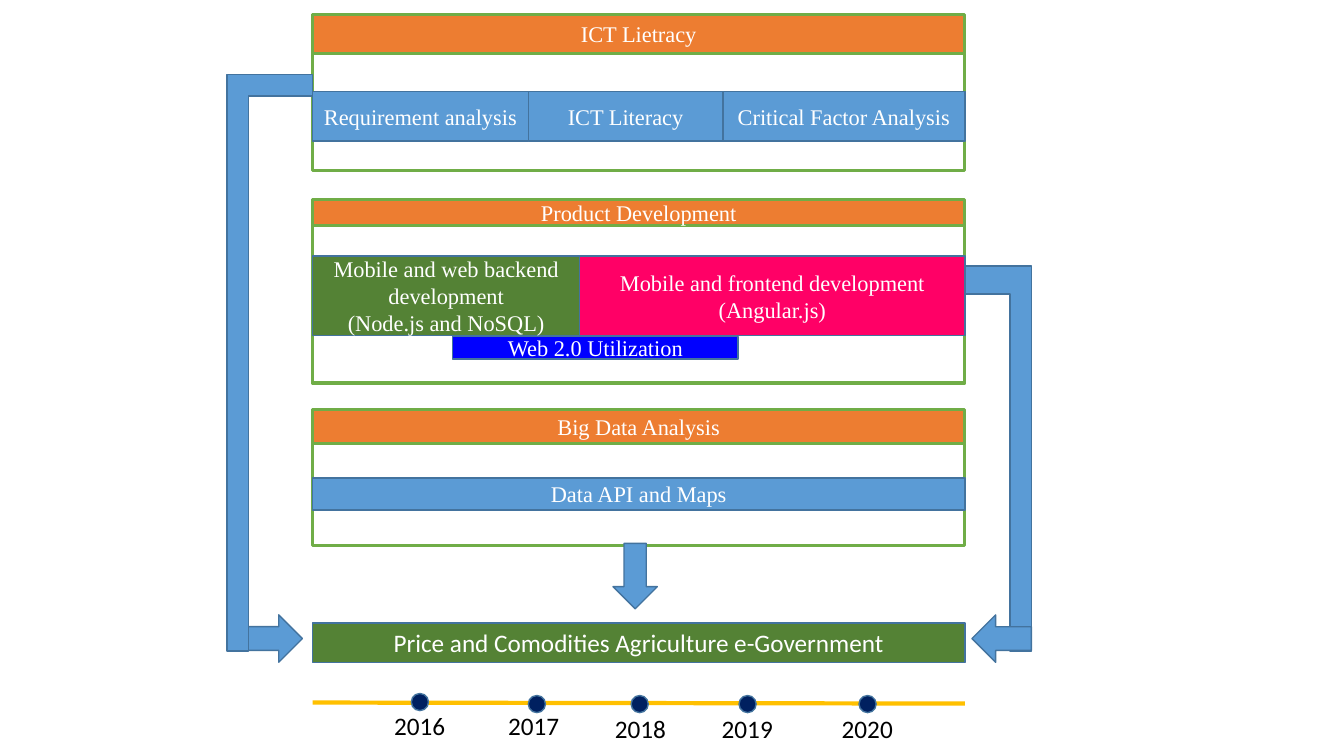
"""Build the ICT roadmap slide: three work packages feeding e-Government."""
from dataclasses import dataclass

from lxml import etree
from pptx import Presentation
from pptx.dml.color import RGBColor
from pptx.enum.shapes import MSO_CONNECTOR, MSO_SHAPE
from pptx.enum.text import MSO_ANCHOR, MSO_AUTO_SIZE, PP_ALIGN
from pptx.oxml.ns import qn
from pptx.util import Inches, Pt

RECT, OVAL, CORNER = MSO_SHAPE.RECTANGLE, MSO_SHAPE.OVAL, MSO_SHAPE.CORNER
DOWN, RIGHT = MSO_SHAPE.DOWN_ARROW, MSO_SHAPE.RIGHT_ARROW
STRAIGHT = MSO_CONNECTOR.STRAIGHT
MIDDLE, CENTER, LEFT = MSO_ANCHOR.MIDDLE, PP_ALIGN.CENTER, PP_ALIGN.LEFT
FIT_SHAPE = MSO_AUTO_SIZE.SHAPE_TO_FIT_TEXT


@dataclass(frozen=True)
class Theme:
    """Colours, fonts and sizes of the slide."""
    white: str = "FFFFFF"
    black: str = "000000"
    orange: str = "ED7D31"
    frame: str = "70AD47"
    blue: str = "5B9BD5"
    edge: str = "43739E"
    green: str = "548235"
    pink: str = "FF0066"
    vivid: str = "0000FF"
    gold: str = "FFC000"
    navy: str = "002060"
    serif: str = "Times New Roman"
    sans: str = "Calibri"
    box_size: int = 16
    large_size: int = 18
    thin: float = 1
    medium: float = 2.25
    thick: float = 3


T = Theme()
PANEL_LEFT, PANEL_WIDTH = 3.1, 6.47
PANEL_RIGHT = PANEL_LEFT + PANEL_WIDTH
DOT = 0.17

# top, header height, body height, title, row top, row height, row of (text, width, fill)
PANELS = [
    (0.14, 0.39, 1.16, "ICT Lietracy", 0.91, 0.49,
     [("Requirement analysis", 2.14, T.blue), ("ICT Literacy", 1.93, T.blue),
      ("Critical Factor Analysis", 2.4, T.blue)]),
    (1.98, 0.26, 1.56, "Product Development", 2.54, 0.79,
     [("Mobile and web backend development\n(Node.js and NoSQL)", 2.65, T.green),
      ("Mobile and frontend development\n(Angular.js)", 3.82, T.pink)]),
    (4.06, 0.34, 1.01, "Big Data Analysis", 4.74, 0.32,
     [("Data API and Maps", PANEL_WIDTH, T.blue)]),
]
# year, dot left, dot top, label left, label top
YEARS = [("2016", 4.08, 6.88, 3.81, 7), ("2017", 5.24, 6.9, 4.94, 7),
         ("2018", 6.26, 6.9, 6, 7.03), ("2019", 7.33, 6.9, 7.06, 7.03),
         ("2020", 8.52, 6.9, 8.25, 7.03)]


def rgb(color):
    """Turn a hex string into a colour."""
    return RGBColor.from_string(color)


def write(tf, text, font, size, color, align):
    """Fill a text frame with one run per line of text."""
    for i, line in enumerate(text.split("\n")):
        p = tf.add_paragraph() if i else tf.paragraphs[0]
        p.alignment = align
        r = p.add_run()
        r.text = line
        r.font.name, r.font.size = font, Pt(size)
        r.font.color.rgb = rgb(color)


def add_block(shapes, kind, at, fill, line=T.edge, weight=T.thin, rotation=0):
    """Add a filled, outlined preset shape without shadow."""
    sp = shapes.add_shape(kind, *map(Inches, at))
    sp.shadow.inherit = False
    sp.fill.solid()
    sp.fill.fore_color.rgb = rgb(fill)
    sp.line.color.rgb = rgb(line)
    sp.line.width = Pt(weight)
    sp.rotation = rotation
    return sp


def add_box(shapes, at, text, fill, line=T.edge, weight=T.thin,
            font=T.serif, size=T.box_size):
    """Add a rectangle with centred white text."""
    sp = add_block(shapes, RECT, at, fill, line, weight)
    tf = sp.text_frame
    tf.word_wrap = True
    tf.vertical_anchor = MIDDLE
    write(tf, text, font, size, T.white, CENTER)


def add_panel(shapes, top, head, body, title, row_top, row_height, row):
    """Add a framed work package with a header and a row of boxes."""
    group = shapes.add_group_shape().shapes
    add_block(group, RECT, (PANEL_LEFT, top + head, PANEL_WIDTH, body),
              T.white, T.frame, T.medium)
    add_box(group, (PANEL_LEFT, top, PANEL_WIDTH, head), title,
            T.orange, T.frame, T.medium)
    x = PANEL_LEFT
    for text, width, fill in row:
        add_box(group, (x, row_top, width, row_height), text, fill)
        x += width


def add_corner(shapes, at, arm, stem, rotation=0):
    """Add an L shape with the given arm and stem thickness."""
    sp = add_block(shapes, CORNER, at, T.blue, rotation=rotation)
    sp.adjustments[0], sp.adjustments[1] = arm, stem
    return sp


def add_arrows(shapes):
    """Add the arrows that lead from the panels to the goal."""
    add_block(shapes, DOWN, (6.08, 5.39, 0.44, 0.65), T.blue)
    add_block(shapes, RIGHT, (2.41, 6.1, 0.59, 0.47), T.blue)
    sp = add_corner(shapes, (2.25, 0.74, 0.85, 5.72), 0.25, 0.25)
    sp._element.spPr.find(qn("a:xfrm")).set("flipV", "1")
    add_corner(shapes, (PANEL_RIGHT, 2.64, 0.66, 3.82), 0.42, 0.32, 180)
    add_block(shapes, RIGHT, (9.64, 6.1, 0.59, 0.47), T.blue, rotation=180)


def add_label(shapes, x, y, text):
    """Add a year label."""
    tf = shapes.add_textbox(*map(Inches, (x, y, 0.71, 0.4))).text_frame
    tf.word_wrap = False
    tf.auto_size = FIT_SHAPE
    write(tf, text, T.sans, T.large_size, T.black, LEFT)


def add_timeline(shapes):
    """Add the time axis with its dots and years."""
    ends = PANEL_LEFT, 6.97, PANEL_RIGHT, 6.98
    axis = shapes.add_connector(STRAIGHT, *map(Inches, ends))
    axis.line.color.rgb = rgb(T.gold)
    axis.line.width = Pt(T.thick)
    etree.SubElement(axis._element.spPr, qn("a:effectLst"))
    for year, dot_x, dot_y, x, y in YEARS:
        add_block(shapes, OVAL, (dot_x, dot_y, DOT, DOT), T.navy)
        add_label(shapes, x, y, year)


def main():
    """Build and save the slide."""
    prs = Presentation()
    prs.slide_width, prs.slide_height = Inches(13.33), Inches(7.5)
    s = prs.slides.add_slide(prs.slide_layouts[6])
    for panel in PANELS:
        add_panel(s.shapes, *panel)
    add_box(s.shapes, (4.49, 3.34, 2.83, 0.22), "Web 2.0 Utilization", T.vivid)
    add_box(s.shapes, (PANEL_LEFT, 6.18, PANEL_WIDTH, 0.39),
            "Price and Comodities Agriculture e-Government", T.green,
            font=T.sans, size=T.large_size)
    add_arrows(s.shapes)
    add_timeline(s.shapes)
    prs.save("out.pptx")


main()
